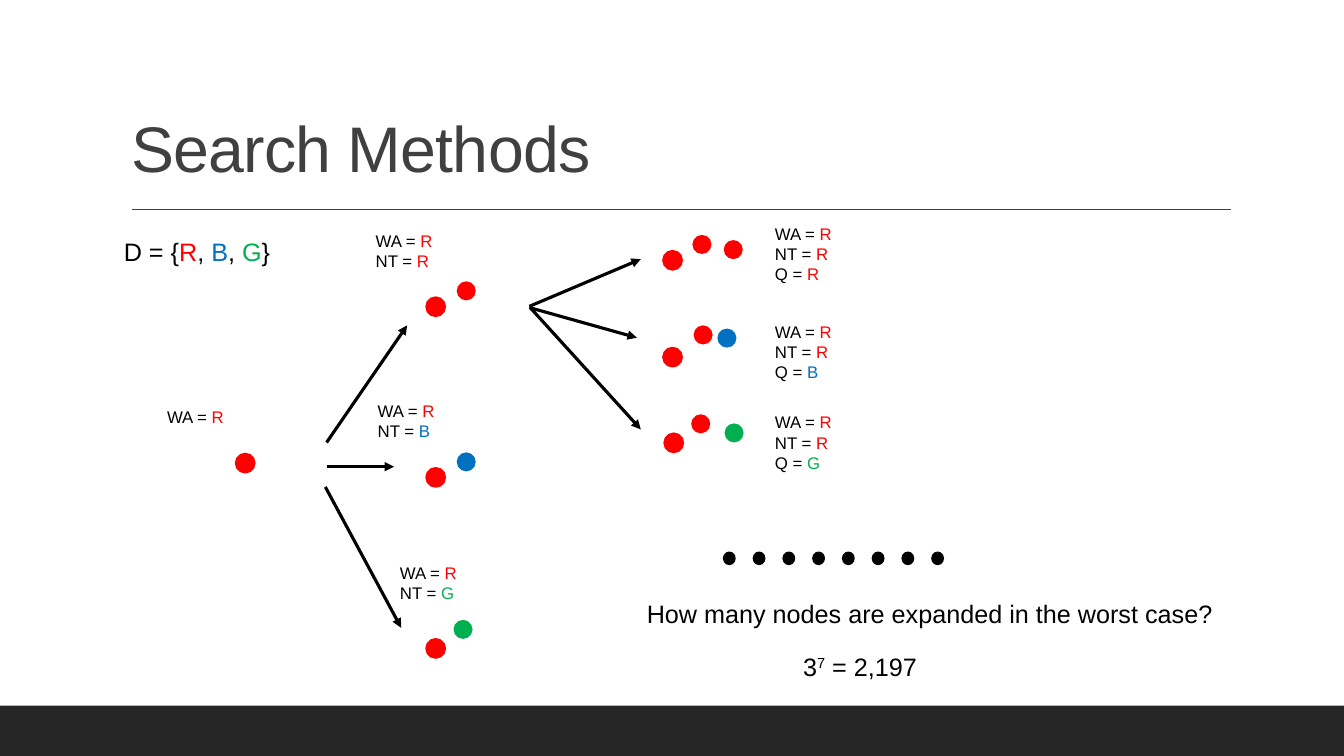
import itertools

import pptx
import pptx.dml.color
import pptx.enum.shapes
import pptx.enum.text
import pptx.oxml.ns
import pptx.util
from lxml import etree

Cm, Pt = pptx.util.Cm, pptx.util.Pt
MSO_SHAPE = pptx.enum.shapes.MSO_SHAPE
COLORS = {"R": "FF0000", "B": "0070C0", "G": "00B050",
          "ink": "000000", "title": "404040", "bar": "262626"}
RGB = {name: pptx.dml.color.RGBColor.from_string(code) for name, code in COLORS.items()}
REGIONS = ("WA", "NT", "Q")

deck = pptx.Presentation()
deck.slide_width, deck.slide_height = Cm(33.87), Cm(19.05)
slide = deck.slides.add_slide(deck.slide_layouts[5])


def add_filled(shapes, kind, box, color, outline=False):
    shape = shapes.add_shape(kind, *map(Cm, box))
    shape.shadow.inherit = False
    shape.fill.solid()
    shape.fill.fore_color.rgb = RGB[color]
    if outline:
        shape.line.color.rgb = RGB[color]
        shape.line.width = Pt(1.25)
    else:
        shape.line.fill.background()


def add_text(box, lines, size):
    """Write lines of text, with the letters R, B and G in their own colours."""
    frame = slide.shapes.add_textbox(*map(Cm, box)).text_frame
    frame.word_wrap = False
    frame.auto_size = pptx.enum.text.MSO_AUTO_SIZE.SHAPE_TO_FIT_TEXT
    for number, line in enumerate(lines):
        paragraph = frame.add_paragraph() if number else frame.paragraphs[0]
        paragraph.font.size = Pt(size)
        paragraph.font.name = "Arial"
        for color, letters in itertools.groupby(line, lambda c: c if c in "RBG" else "ink"):
            run = paragraph.add_run()
            run.text = "".join(letters)
            run.font.color.rgb = RGB[color]
    return frame


# Footer bar and title
add_filled(slide.shapes, MSO_SHAPE.RECTANGLE, (0, 17.78, 33.87, 1.27), "bar")
title = slide.shapes.title
title.left, title.top, title.width, title.height = map(Cm, (3.05, 0.79, 27.94, 4.04))
title.text_frame.text = "Search Methods"
title.text_frame.auto_size = pptx.enum.text.MSO_AUTO_SIZE.NONE
title.text_frame.vertical_anchor = pptx.enum.text.MSO_ANCHOR.BOTTOM
heading = title.text_frame.paragraphs[0]
heading.alignment = pptx.enum.text.PP_ALIGN.LEFT
heading.line_spacing = 0.9
heading.font.size = Pt(46)
heading.font.name = "Arial"
heading.font.color.rgb = RGB["title"]
heading.runs[0].font.bold = False
heading.runs[0].font._element.set("spc", "-50")

# Domain of colours
add_text((2.87, 5.82, 4.24, 1.02), ["D = {R, B, G}"], 18)

# Search states: assigned colours, label corner, corner of each dot
DOT = 0.48
states = [
    ("R", (3.96, 10.13), [(5.94, 11.43)]),
    ("RR", (9.22, 5.69), [(10.74, 7.49), (11.51, 7.09)]),
    ("RB", (9.27, 9.98), [(10.74, 11.79), (11.51, 11.4)]),
    ("RG", (9.83, 14.05), [(10.74, 16.1), (11.43, 15.62)]),
    ("RRR", (19.28, 5.51), [(16.71, 6.32), (17.45, 5.92), (18.24, 6.05)]),
    ("RRB", (19.28, 7.98), [(16.71, 8.76), (17.48, 8.2), (18.08, 8.28)]),
    ("RRG", (19.28, 10.26), [(16.74, 10.92), (17.42, 10.44), (18.26, 10.67)]),
]
for colors, label_corner, dots in states:
    shapes = slide.shapes.add_group_shape().shapes if len(dots) > 1 else slide.shapes
    for index, (color, corner) in enumerate(zip(colors, dots)):
        add_filled(shapes, MSO_SHAPE.OVAL, (*corner, DOT, DOT), color, outline=index == 0)
    assignment = [f"{region} = {color}" for region, color in zip(REGIONS, colors)]
    add_text((*label_corner, 1.96, 0.24 + 0.52 * len(colors)), assignment, 12)

# Title rule and expansion arrows: ends, colour, width, arrowhead
title_rule = ((3.33, 5.28, 31.01, 5.28), "title", 1, False)
expansions = [
    (8.23, 11.15, 10.26, 8.2),
    (8.23, 11.76, 9.93, 11.76),
    (8.2, 12.27, 10.11, 15.82),
    (13.34, 7.72, 16.15, 6.53),
    (13.34, 7.75, 16.05, 8.51),
    (13.36, 7.75, 16.15, 10.82),
]
for ends, color, width, arrow in [title_rule] + [(e, "ink", 2.25, True) for e in expansions]:
    line = slide.shapes.add_connector(pptx.enum.shapes.MSO_CONNECTOR.STRAIGHT, *map(Cm, ends))
    line.line.color.rgb = RGB[color]
    line.line.width = Pt(width)
    if arrow:
        etree.SubElement(line.line._get_or_add_ln(), pptx.oxml.ns.qn("a:tailEnd"), type="triangle")
    etree.SubElement(line._element.spPr, pptx.oxml.ns.qn("a:effectLst"))

# Row of dots for the states that follow
for step in range(8):
    add_filled(slide.shapes, MSO_SHAPE.OVAL, (18.24 + 0.75 * step, 13.92, 0.28, 0.3), "ink", outline=True)

# Question and answer
add_text((16.05, 14.96, 14.91, 1.02), ["How many nodes are expanded in the worst case?"], 18)
answer = add_text((19.99, 16.28, 3.56, 1.02), ["3"], 18).paragraphs[0]
for part, baseline in (("7", "30000"), (" = 2,197", "0")):
    run = answer.add_run()
    run.text = part
    run.font.color.rgb = RGB["ink"]
    run.font._element.set("baseline", baseline)

deck.save("out.pptx")
